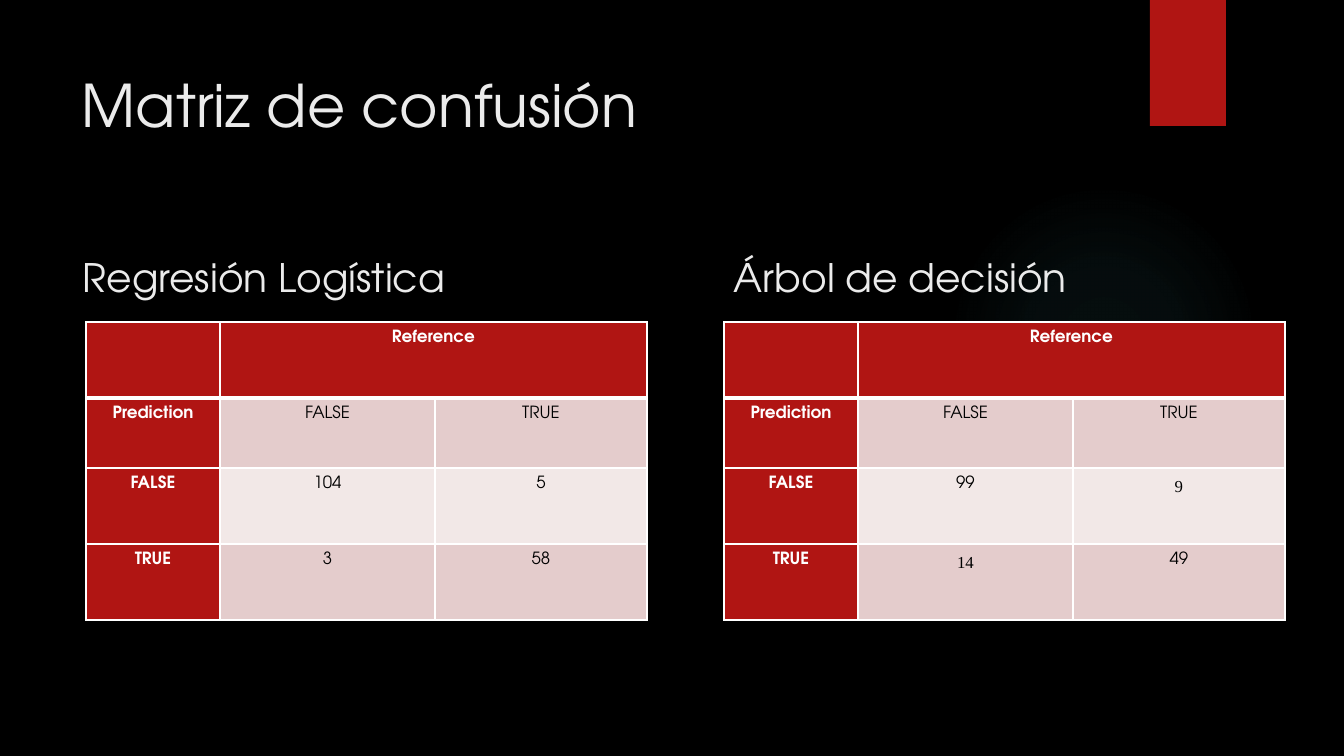
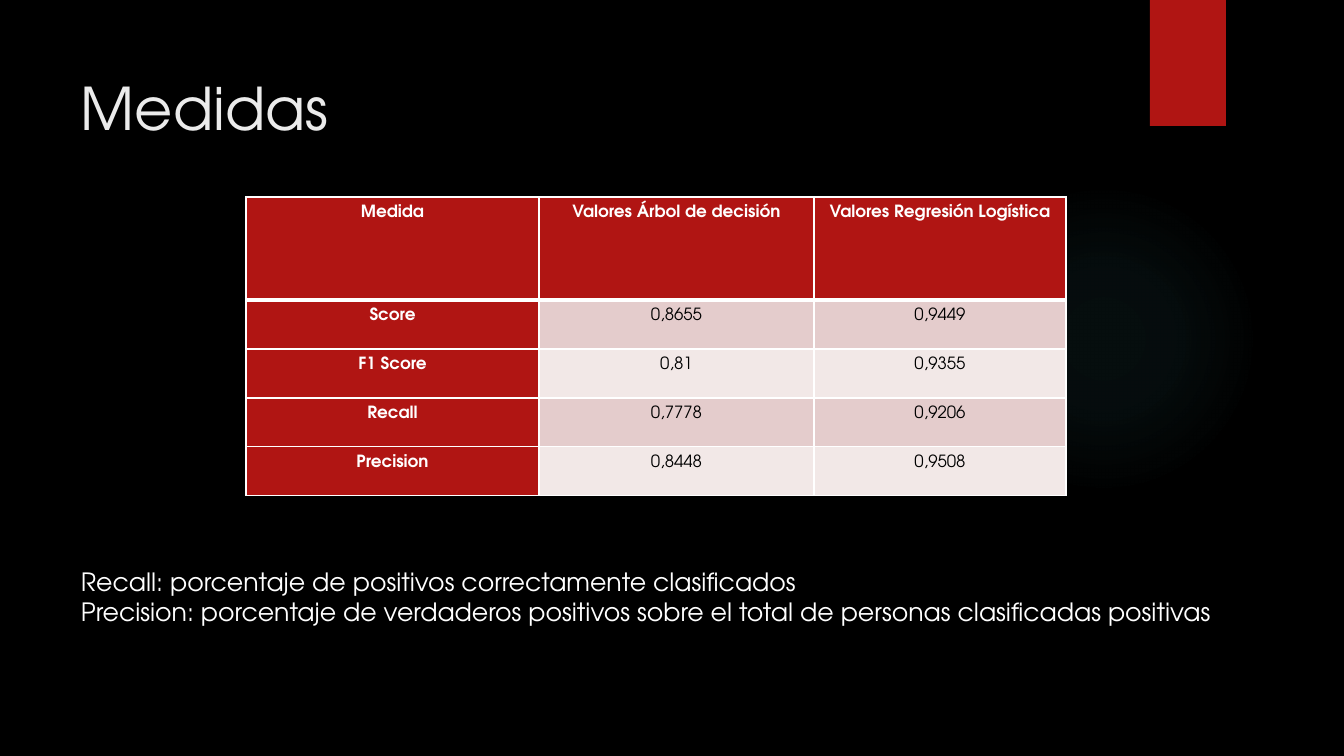
"""Builds two slides comparing a logistic regression with a decision tree."""
from pptx import Presentation
from pptx.dml.color import RGBColor
from pptx.enum.shapes import MSO_SHAPE as SHAPE
from pptx.enum.text import MSO_ANCHOR as ANCHOR, PP_ALIGN as ALIGN
from pptx.oxml import parse_xml
from pptx.oxml.ns import nsdecls
from pptx.util import Pt

PX = 914400 / 100.8
BLACK = RGBColor(0x00, 0x00, 0x00)
WHITE = RGBColor(0xFF, 0xFF, 0xFF)
OFF_WHITE = RGBColor(0xEB, 0xEB, 0xEB)
RED = RGBColor(0xB0, 0x15, 0x13)
PINK = RGBColor(0xE4, 0xCC, 0xCC)
PALE_PINK = RGBColor(0xF2, 0xE8, 0xE7)
GLOW = RGBColor(0x50, 0xB9, 0xC1)
FONT = "TeX Gyre Adventor"
SERIF = "Times New Roman"
TITLE = {"size": Pt(42), "name": FONT}
HEADING = {"size": Pt(28), "name": FONT}
BODY = {"size": Pt(18), "name": FONT}


def add_text(s, box, lines, font, color):
    tf = s.shapes.add_textbox(*[round(v * PX) for v in box]).text_frame
    tf.word_wrap = True
    tf.vertical_anchor = ANCHOR.TOP
    for i, line in enumerate(lines):
        p = tf.paragraphs[0] if i == 0 else tf.add_paragraph()
        r = p.add_run()
        r.text = line
        for key, value in font.items():
            setattr(r.font, key, value)
        r.font.color.rgb = color


def add_grid(s, left, top, widths, heights, rows, serif=()):
    box = [round(v * PX) for v in (left, top, sum(widths), sum(heights))]
    table = s.shapes.add_table(len(rows), len(widths), *box).table
    for col, width in zip(table.columns, widths):
        col.width = round(width * PX)
    for row, height in zip(table.rows, heights):
        row.height = round(height * PX)
    for i, texts in enumerate(rows):
        for j, text in enumerate(texts):
            cell = table.cell(i, j)
            cell.margin_left = cell.margin_right = round(7 * PX)
            cell.margin_top = cell.margin_bottom = 0
            header = i == 0 or j == 0
            p = cell.text_frame.paragraphs[0]
            layout = {"alignment": ALIGN.CENTER, "line_spacing": 1.5, "space_after": Pt(8)}
            for key, value in layout.items():
                setattr(p, key, value)
            if text:
                r = p.add_run()
                r.text = text
                font = {"size": Pt(12), "bold": header, "name": SERIF if (i, j) in serif else FONT}
                for key, value in font.items():
                    setattr(r.font, key, value)
                r.font.color.rgb = WHITE if header else BLACK
            thick = {"B": i == 0, "T": i == 1}
            tcPr = cell._tc.get_or_add_tcPr()
            for side in "LRTB":
                width = Pt(3 if thick.get(side) else 1)
                tcPr.append(parse_xml(
                    f'<a:ln{side} {nsdecls("a")} w="{width}"><a:solidFill>'
                    f'<a:srgbClr val="{WHITE}"/></a:solidFill></a:ln{side}>'))
            cell.fill.solid()
            cell.fill.fore_color.rgb = RED if header else PINK if i % 2 else PALE_PINK
    return table


prs = Presentation()
prs.slide_width = round(1344 * PX)
prs.slide_height = round(756 * PX)
stops = "".join(
    f'<a:gs pos="{pos}000"><a:srgbClr val="{GLOW}"><a:alpha val="{alpha}000"/></a:srgbClr></a:gs>'
    for pos, alpha in ((0, 7), (36, 6), (69, 0)))
glow_fill = (
    f'<a:gradFill {nsdecls("a")}><a:gsLst>{stops}</a:gsLst><a:path path="circle">'
    '<a:fillToRect l="50000" t="50000" r="50000" b="50000"/></a:path></a:gradFill>')

for title, box in (("Matriz de confusión", (72, 64, 1036, 81)),
                   ("Medidas", (71, 67, 1037, 94))):
    s = prs.slides.add_slide(prs.slide_layouts[6])
    s.background.fill.solid()
    s.background.fill.fore_color.rgb = BLACK
    for kind, place in ((SHAPE.OVAL, (949, 184, 310, 310)),
                        (SHAPE.RECTANGLE, (1150, 0, 76, 126))):
        sp = s.shapes.add_shape(kind, *[round(v * PX) for v in place])
        sp.shadow.inherit = False
        sp.line.fill.background()
        if kind == SHAPE.OVAL:
            sp._element.spPr.find("./{*}prstGeom").addnext(parse_xml(glow_fill))
        else:
            sp.fill.solid()
            sp.fill.fore_color.rgb = RED
    add_text(s, box, [title], TITLE, OFF_WHITE)

matrix_slide, measure_slide = prs.slides
matrices = (
    ("Regresión Logística", 73, 86, ("104", "5", "3", "58"), ()),
    ("Árbol de decisión", 724, 724, ("99", "9", "14", "49"), ((2, 2), (3, 1))),
)
for heading, text_left, left, (tn, fn, fp, tp), serif in matrices:
    rows = [("", "Reference", ""), ("Prediction", "FALSE", "TRUE"),
            ("FALSE", tn, fn), ("TRUE", fp, tp)]
    table = add_grid(matrix_slide, left, 322, (134, 215, 212), (76, 70, 76, 76), rows, serif)
    table.cell(0, 1).merge(table.cell(0, 2))
    add_text(matrix_slide, (text_left, 248, 587, 74), [heading], HEADING, OFF_WHITE)

measures = [
    ("Medida", "Valores Árbol de decisión", "Valores Regresión Logística"),
    ("Score", "0,8655", "0,9449"),
    ("F1 Score", "0,81", "0,9355"),
    ("Recall", "0,7778", "0,9206"),
    ("Precision", "0,8448", "0,9508"),
]
add_grid(measure_slide, 246, 197, (293, 275, 252), (103, 49, 49, 49, 49), measures)
definitions = [
    "Recall: porcentaje de positivos correctamente clasificados",
    "Precision: porcentaje de verdaderos positivos sobre el total de personas clasificadas positivas",
]
add_text(measure_slide, (71, 561, 1216, 102), definitions, BODY, WHITE)

prs.save("out.pptx")
